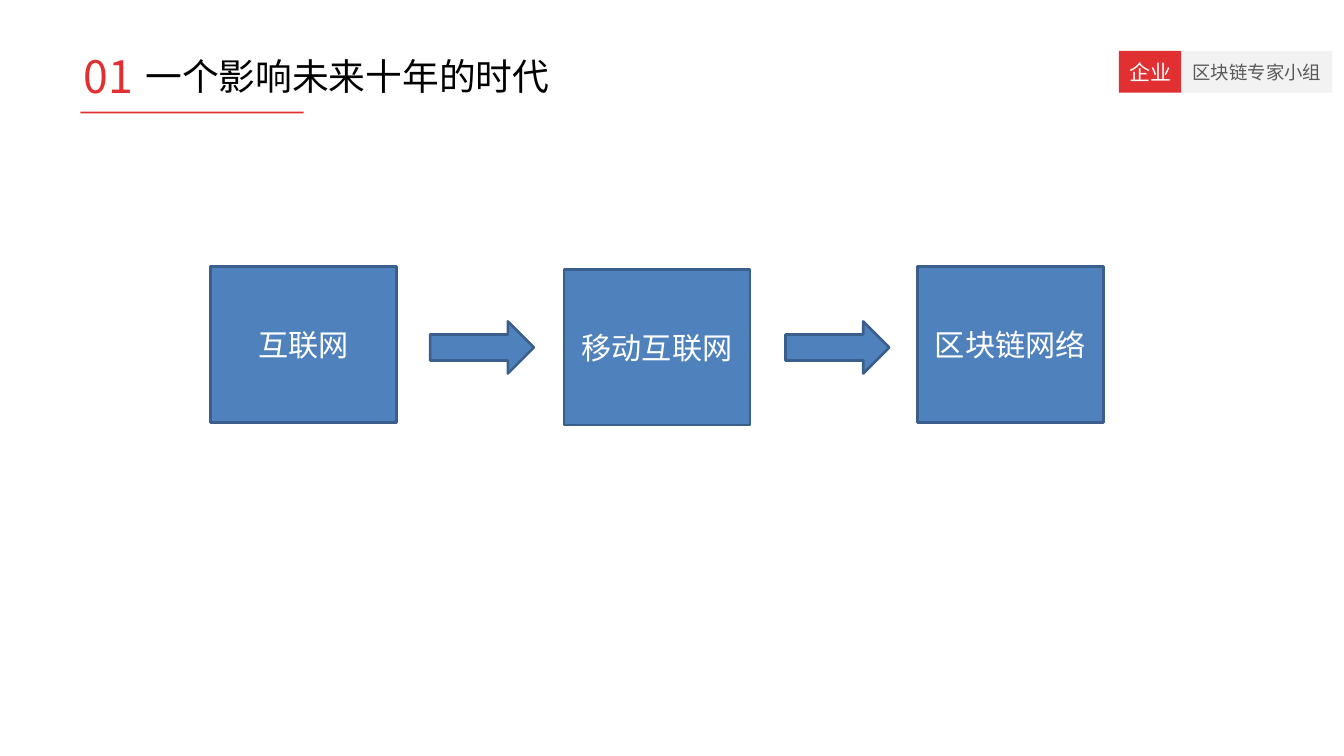
from lxml.etree import SubElement
from pptx import Presentation
from pptx.dml.color import RGBColor
from pptx.enum.shapes import MSO_SHAPE as SHAPE
from pptx.enum.text import MSO_ANCHOR as ANCHOR, PP_ALIGN as ALIGN
from pptx.oxml.ns import qn
from pptx.util import Cm, Pt

RED = RGBColor(0xE0, 0x30, 0x31)
PALE = RGBColor(0xF2, 0xF2, 0xF2)
GREY = RGBColor(0x59, 0x59, 0x59)
BLUE = RGBColor(0x4F, 0x81, 0xBD)
NAVY = RGBColor(0x3A, 0x5F, 0x8C)
WHITE = RGBColor(0xFF, 0xFF, 0xFF)
BLACK = RGBColor(0, 0, 0)
SANS = "Noto Sans CJK SC"

STAGES = [("互联网", 7.16), ("移动互联网", 7.24), ("区块链网络", 7.16)]
STAGE_LEFT, STAGE_STEP = 5.66, 9.5
ARROW_LEFT, ARROW_STEP = 11.56, 9.55


def write(sp, text, size, color, font=SANS, align=ALIGN.CENTER):
    tf = sp.text_frame
    for name, value in {"word_wrap": True, "vertical_anchor": ANCHOR.MIDDLE}.items():
        setattr(tf, name, value)
    p = tf.paragraphs[0]
    p.alignment = align
    r = p.add_run()
    r.text = text
    for name, value in {"size": Pt(size), "name": font}.items():
        setattr(r.font, name, value)
    r.font.color.rgb = color
    SubElement(r.font._element, qn("a:ea")).set("typeface", font)


def add_block(s, kind, box, fill, line=None):
    sp = s.shapes.add_shape(kind, *map(Cm, box))
    sp.shadow.inherit = False
    sp.fill.solid()
    sp.fill.fore_color.rgb = fill
    if line is None:
        sp.line.fill.background()
    else:
        sp.line.color.rgb = line
        sp.line.width = Pt(2)
    return sp


def add_heading(s, text, box, size, color):
    sp = s.shapes.add_textbox(*map(Cm, box))
    margins = {"margin_left": 0.33, "margin_right": 0.33,
               "margin_top": 0.16, "margin_bottom": 0.16}
    for name, value in margins.items():
        setattr(sp.text_frame, name, Cm(value))
    write(sp, text, size, color, align=ALIGN.LEFT)


def add_tag(s, text, left, width, size, fill, color):
    sp = add_block(s, SHAPE.RECTANGLE, (left, 1.37, width, 1.12), fill)
    write(sp, text, size, color)


def add_flow(s):
    for i, (text, top) in enumerate(STAGES):
        box = (STAGE_LEFT + i * STAGE_STEP, top, 5, 4.19)
        sp = add_block(s, SHAPE.RECTANGLE, box, BLUE, NAVY)
        write(sp, text, 23, WHITE, "Calibri")
    for i in range(len(STAGES) - 1):
        box = (ARROW_LEFT + i * ARROW_STEP, 8.64, 2.79, 1.4)
        add_block(s, SHAPE.RIGHT_ARROW, box, BLUE, NAVY)


def main():
    prs = Presentation()
    prs.slide_width, prs.slide_height = Cm(36.12), Cm(20.32)
    s = prs.slides.add_slide(prs.slide_layouts[6])
    add_block(s, SHAPE.RECTANGLE, (2.16, 3, 6, 0.05), RED)
    add_tag(s, "企业", 30.07, 1.68, 16, RED, WHITE)
    add_tag(s, "区块链专家小组", 31.75, 4.06, 14, PALE, GREY)
    add_heading(s, "一个影响未来十年的时代", (3.58, 0.91, 27.1, 2.24), 28, BLACK)
    add_heading(s, "01", (1.91, 0.91, 2.95, 2.24), 34, RED)
    add_flow(s)
    prs.save("out.pptx")


if __name__ == "__main__":
    main()
